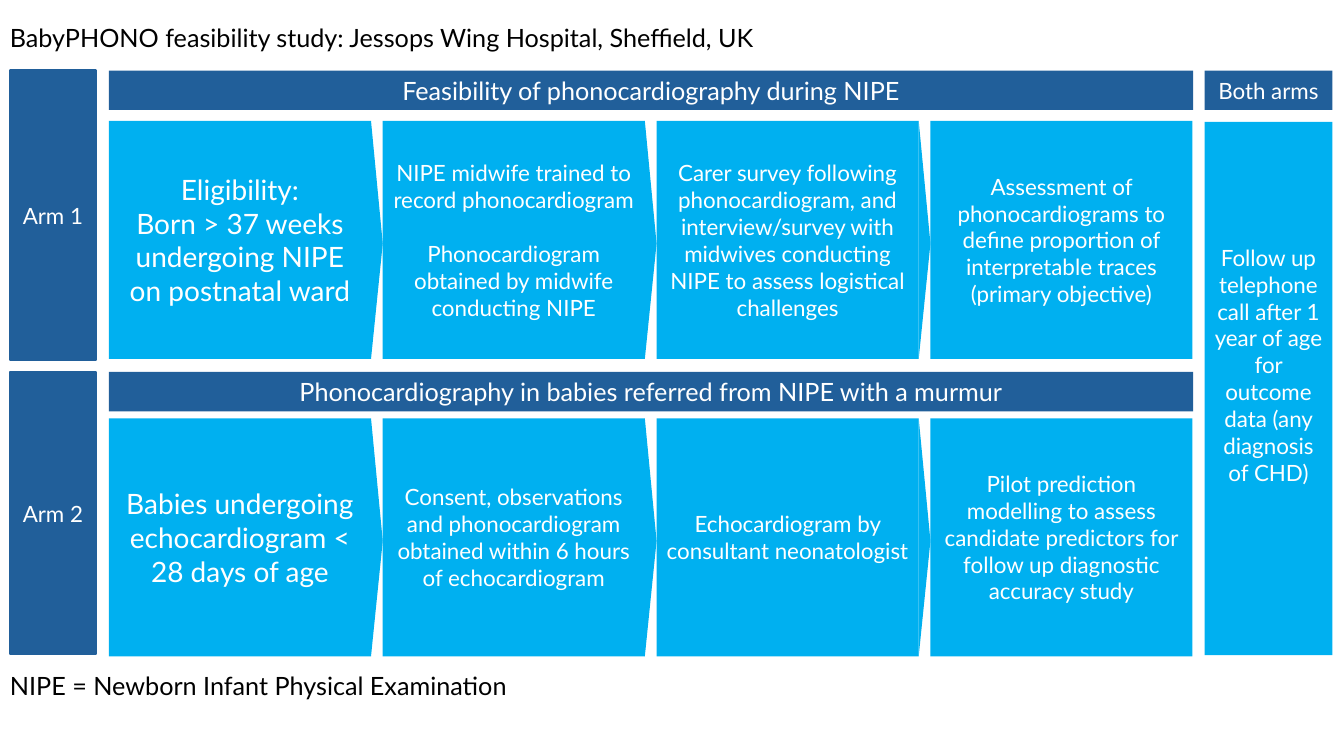
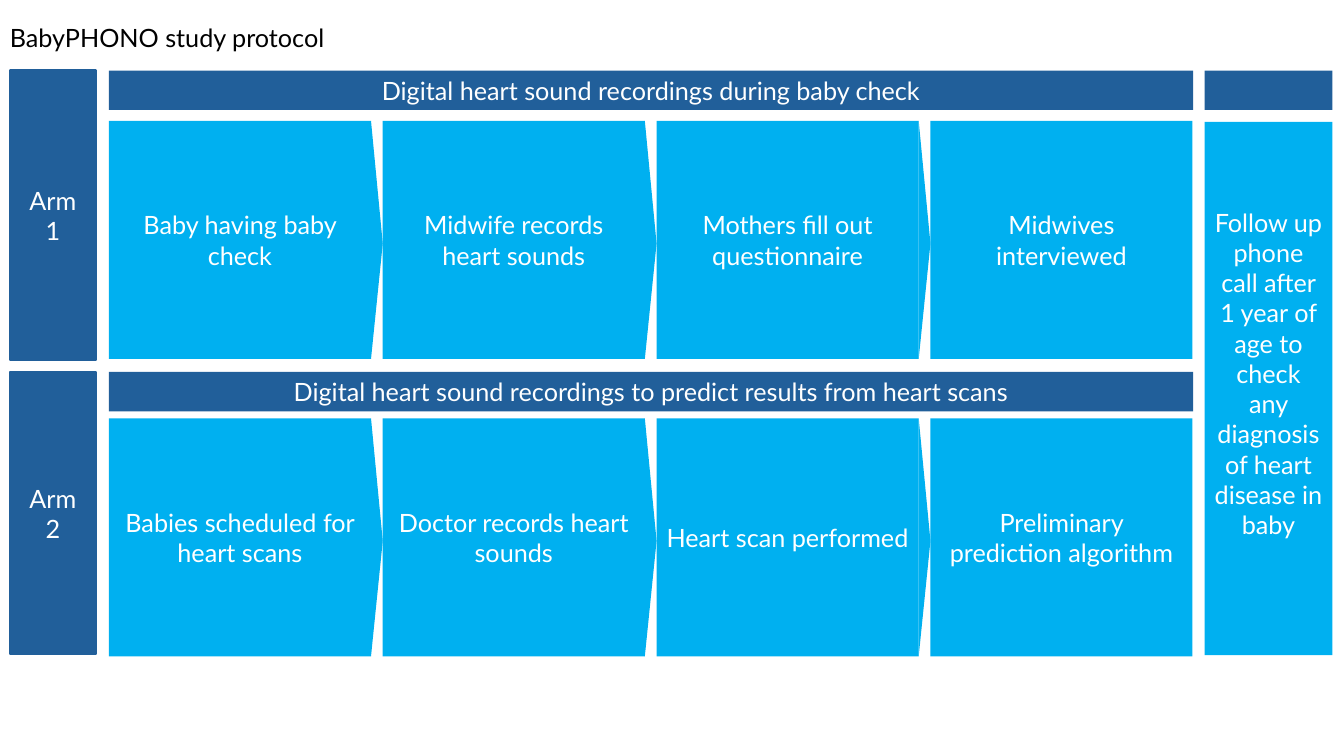
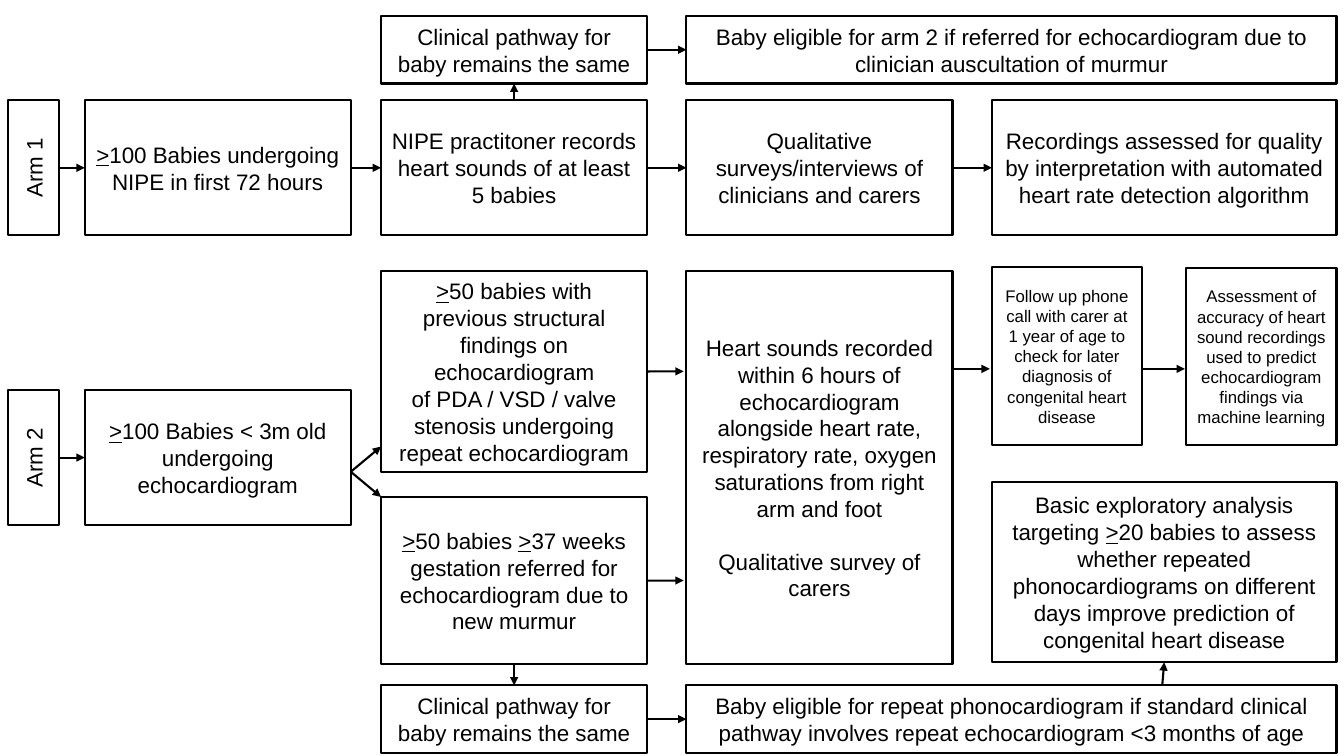
from lxml import etree
from pptx import Presentation
from pptx import util as u
from pptx.dml import color
from pptx.enum import shapes, text
from pptx.oxml import ns

Pt = u.Pt
NAVY, SKY, WHITE, BLACK = "215F9A", "00B0F0", "FFFFFF", "000000"
SITES = {"top": 0, "left": 1, "bottom": 2, "right": 3}


def rgb(value):
    return color.RGBColor.from_string(value)


class Style:
    """Holds the deck, the current page and the look of each element."""

    def __init__(self):
        self.deck = Presentation()
        self.deck.slide_width, self.deck.slide_height = Pt(960), Pt(540)
        self.page = None
        self.font = "Lato"

    def new_page(self, font):
        self.page = self.deck.slides.add_slide(self.deck.slide_layouts[6])
        self.font = font

    def set_text(self, frame, content, size, ink, align, gap=0):
        """One paragraph a line; parts between bars are underlined."""
        frame.word_wrap = True
        for index, line in enumerate(content.split("\n")):
            para = frame.paragraphs[0] if index == 0 else frame.add_paragraph()
            para.alignment = align
            if index and gap:
                para.space_before = Pt(gap)
            for order, part in enumerate(line.split("|")):
                if part:
                    span = para.add_run()
                    span.text = part
                    span.font.name, span.font.size = self.font, Pt(size)
                    span.font.color.rgb = rgb(ink)
                    if order % 2:
                        span.font.underline = True

    def shape(self, kind, left, top, width, height, fill, line=None):
        shape = self.page.shapes.add_shape(kind, Pt(left), Pt(top), Pt(width), Pt(height))
        shape.shadow.inherit = False
        shape.fill.solid()
        shape.fill.fore_color.rgb = rgb(fill)
        if line:
            shape.line.color.rgb = rgb(line)
            shape.line.width = Pt(1.5)
        else:
            shape.line.fill.background()
        return shape

    def box(self, left, top, width, height, content, size=16, fill=WHITE,
            line=None, ink=WHITE, gap=0, lift=0):
        box = self.shape(shapes.MSO_SHAPE.RECTANGLE, left, top, width, height, fill, line)
        frame = box.text_frame
        frame.vertical_anchor = text.MSO_ANCHOR.MIDDLE
        frame.margin_bottom = Pt(3.6 + lift)
        self.set_text(frame, content, size, ink, text.PP_ALIGN.CENTER, gap)
        return box

    def outlined(self, left, top, width, height, content, size=16, gap=0):
        return self.box(left, top, width, height, content, size, WHITE, BLACK, BLACK, gap)

    def pointer(self, left, top, width, height):
        """A triangle pointing right that fills the given area."""
        shift = (height - width) / 2
        pointer = self.shape(shapes.MSO_SHAPE.ISOSCELES_TRIANGLE,
                             left - shift, top + shift, height, width, SKY)
        pointer.adjustments[0] = 0.515
        pointer.rotation = 90

    def caption(self, top, width, content):
        box = self.page.shapes.add_textbox(0, Pt(top), Pt(width), Pt(29))
        box.text_frame.auto_size = text.MSO_AUTO_SIZE.SHAPE_TO_FIT_TEXT
        self.set_text(box.text_frame, content, 18, BLACK, text.PP_ALIGN.LEFT)

    def arrow(self, start, end):
        """Each end is a point (x, y) or a joint (box, side)."""
        points = [(0, 0) if isinstance(tip[1], str) else tip for tip in (start, end)]
        arrow = self.page.shapes.add_connector(
            shapes.MSO_CONNECTOR.STRAIGHT, *[Pt(value) for point in points for value in point])
        for tip, join in ((start, arrow.begin_connect), (end, arrow.end_connect)):
            if isinstance(tip[1], str):
                join(tip[0], SITES[tip[1]])
        arrow.line.color.rgb = rgb(BLACK)
        arrow.line.width = Pt(1.5)
        properties = arrow._element.spPr
        etree.SubElement(properties.find(ns.qn("a:ln")), ns.qn("a:tailEnd"), type="triangle")
        etree.SubElement(properties, ns.qn("a:effectLst"))
        return arrow


def protocol(style, title, arms, side, sizes, side_size, lift):
    """Two arms of four steps each, and a follow-up column at the right."""
    style.new_page("Lato")
    style.caption(12.2, 549, title)
    left, width, pitch, height = 77.8, 187.2, 195.6, 170
    rows = ((50.4, 206.6, 50.4, 86.4), (265.7, 201.6, 265.7, 298.8))
    for number, ((band, steps), row) in enumerate(zip(arms, rows), 1):
        arm_top, arm_height, band_top, step_top = row
        style.box(7.2, arm_top, 61.2, arm_height, f"Arm {number}", side_size, NAVY, NAVY)
        style.box(left, band_top, 774.4, 28.1, band, 18, NAVY)
        for column, (step, size) in enumerate(zip(steps, sizes)):
            x = left + column * pitch
            style.box(x, step_top, width, height, step, size, SKY, gap=19.2 if column else 0)
            if column < 3:
                style.pointer(x + width, step_top, pitch - width, height)
    # Follow-up column
    heading, follow_up = side
    style.box(860.4, 50.4, 91.4, 28.1, heading, side_size, NAVY)
    style.box(860.4, 87, 91.4, 380.9, follow_up, side_size, SKY, lift=lift)


def flow(style):
    style.new_page("Arial")
    # Column edges and row tops
    first, second, third, fourth = 60.5, 272.2, 490.3, 708.5
    width, wide, small, tall = 190.1, 246.2, 107.3, 96.5
    row_1, row_2 = 71.6, 278.6
    pathway = "Clinical pathway for baby remains the same"

    # Arm 1
    babies_1 = style.outlined(first, row_1, width, tall,
                              "|>|100 Babies undergoing NIPE in first 72 hours")
    recording = style.outlined(second, row_1, width, tall,
                               "NIPE practitoner records heart sounds of at least 5 babies")
    survey = style.outlined(third, row_1, width, tall,
                            "Qualitative surveys/interviews of clinicians and carers")
    quality = style.outlined(fourth, row_1, wide, tall,
                             "Recordings assessed for quality by interpretation with "
                             "automated heart rate detection algorithm")

    # Arm 2
    babies_2 = style.outlined(first, row_2, width, tall,
                              "|>|100 Babies < 3m old undergoing echocardiogram")
    structural = style.outlined(second, 193.7, width, 143.3,
                                "|>|50 babies with previous structural findings on echocardiogram\n"
                                "of PDA / VSD / valve stenosis undergoing repeat echocardiogram")
    murmur = style.outlined(second, 355, width, 119.5,
                            "|>|50 babies |>|37 weeks gestation referred for "
                            "echocardiogram due to new murmur")
    style.outlined(third, 193.7, width, 280.8,
                   "Heart sounds recorded within 6 hours of echocardiogram alongside heart rate, "
                   "respiratory rate, oxygen saturations from right arm and foot\n"
                   "Qualitative survey of carers", gap=18.4)
    style.outlined(fourth, 191, small, 126.7,
                   "Follow up phone call with carer at 1 year of age to check for later "
                   "diagnosis of congenital heart disease", 12)
    style.outlined(fourth + wide - small, 191.5, small, 126.7,
                   "Assessment of accuracy of heart sound recordings used to predict "
                   "echocardiogram findings via machine learning", 12)
    analysis = style.outlined(fourth, 344.2, wide, 128.9,
                              "Basic exploratory analysis targeting |>|20 babies to assess whether "
                              "repeated phonocardiograms on different days improve prediction of "
                              "congenital heart disease")

    # Upright arm labels
    for number, (babies, top) in enumerate(((babies_1, row_1), (babies_2, row_2)), 1):
        middle = top + tall / 2
        arm = style.outlined(24 - tall / 2, middle - 18.4, tall, 36.7, f"Arm {number}")
        arm.rotation = 270
        arrow = style.arrow((arm, "bottom"), (babies, "left"))
        arrow.begin_x, arrow.begin_y = Pt(42.35), Pt(middle)

    # Unchanged pathways along the top and bottom edges
    for source, side, facing, top, outcome in (
            (recording, "top", "bottom", 11.5,
             "Baby eligible for arm 2 if referred for echocardiogram due to "
             "clinician auscultation of murmur"),
            (murmur, "bottom", "top", 489.6,
             "Baby eligible for repeat phonocardiogram if standard clinical pathway "
             "involves repeat echocardiogram <3 months of age")):
        same = style.outlined(second, top, width, 48.2, pathway)
        eligible = style.outlined(third, top, 464.4, 48.2, outcome)
        style.arrow((source, side), (same, facing))
        style.arrow((same, "right"), (eligible, "left"))

    # Remaining arrows
    for before, after in ((babies_1, recording), (recording, survey), (survey, quality)):
        style.arrow((before, "right"), (after, "left"))
    for y in (319, 355):
        style.arrow((first + width, 337), (second, y))
    style.arrow((structural, "right"), (third - 2, 265.3))
    style.arrow((murmur, "right"), (third - 2, 414.7))
    style.arrow((third + width, 263.5), (fourth - 1.5, 263.5))
    style.arrow((fourth + small, 263.5), (fourth + wide - small - 1, 263.5))
    style.arrow((830.2, 489.6), (analysis, "bottom"))


def main():
    style = Style()
    # Clinical version
    protocol(
        style, "BabyPHONO feasibility study: Jessops Wing Hospital, Sheffield, UK",
        (("Feasibility of phonocardiography during NIPE",
          ("Eligibility:\nBorn > 37 weeks undergoing NIPE on postnatal ward",
           "NIPE midwife trained to record phonocardiogram\n"
           "Phonocardiogram obtained by midwife conducting NIPE",
           "Carer survey following phonocardiogram, and interview/survey with midwives "
           "conducting NIPE to assess logistical challenges",
           "Assessment of phonocardiograms to define proportion of interpretable traces "
           "(primary objective)")),
         ("Phonocardiography in babies referred from NIPE with a murmur",
          ("Babies undergoing echocardiogram < 28 days of age",
           "Consent, observations and phonocardiogram obtained within 6 hours of echocardiogram",
           "Echocardiogram by consultant neonatologist",
           "Pilot prediction modelling to assess candidate predictors for follow up "
           "diagnostic accuracy study"))),
        ("Both arms", "Follow up telephone call after 1 year of age for outcome data "
                      "(any diagnosis of CHD)"),
        (20, 16, 16, 16), 16, 33.6)
    style.caption(475.2, 480, "NIPE = Newborn Infant Physical Examination")

    # Plain-language version
    protocol(
        style, "BabyPHONO study protocol",
        (("Digital heart sound recordings during baby check",
          ("Baby having baby check", "Midwife records heart sounds",
           "Mothers fill out questionnaire", "Midwives interviewed")),
         ("Digital heart sound recordings to predict results from heart scans",
          ("Babies scheduled for heart scans", "Doctor records heart sounds",
           "Heart scan performed", "Preliminary prediction algorithm"))),
        ("", "Follow up phone call after 1 year of age to check any diagnosis of "
             "heart disease in baby"),
        (18, 18, 18, 18), 18, 21.6)

    # Flow chart
    flow(style)
    style.deck.save("out.pptx")


if __name__ == "__main__":
    main()
